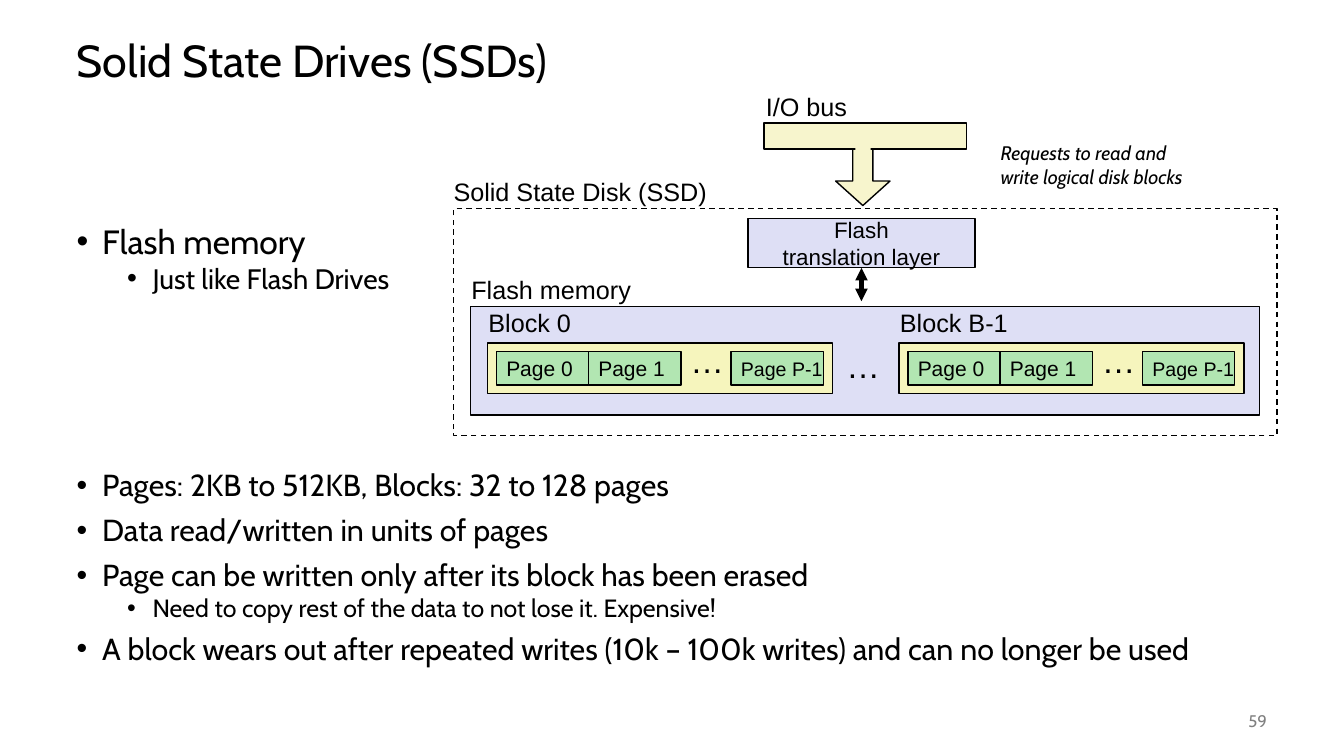
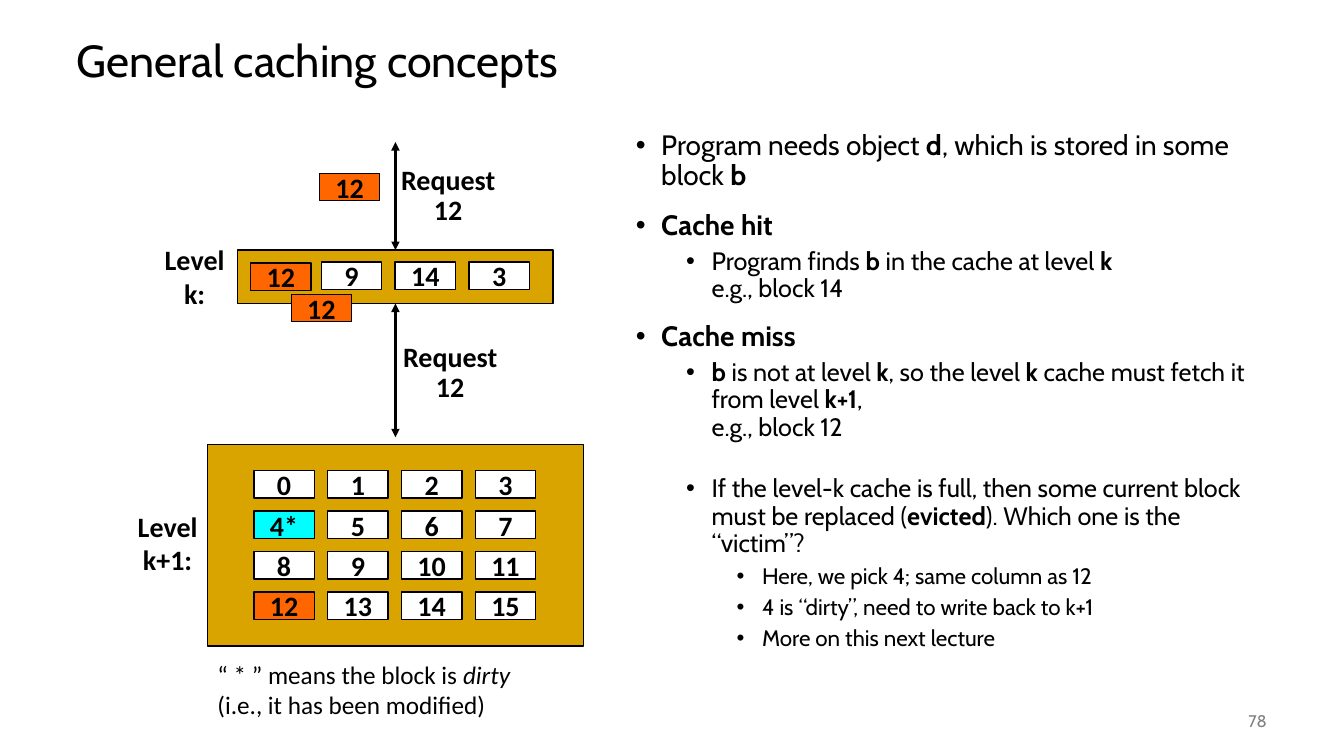
from pptx import Presentation
from pptx.dml.color import RGBColor
from pptx.enum.dml import MSO_LINE
from pptx.enum.shapes import MSO_CONNECTOR, MSO_SHAPE
from pptx.enum.text import MSO_ANCHOR, MSO_AUTO_SIZE, PP_ALIGN
from pptx.oxml.ns import qn
from pptx.util import Cm, Pt
from lxml.etree import SubElement

BLACK = RGBColor(0x00, 0x00, 0x00)
WHITE = RGBColor(0xFF, 0xFF, 0xFF)
GRAY = RGBColor(0x80, 0x80, 0x80)
LAVENDER = RGBColor(0xDE, 0xDF, 0xF5)
CREAM = RGBColor(0xF7, 0xF5, 0xCD)
YELLOW = RGBColor(0xF6, 0xF5, 0xBD)
GREEN = RGBColor(0xB2, 0xE6, 0xB2)
GOLD = RGBColor(0xD9, 0xA3, 0x00)
ORANGE = RGBColor(0xFF, 0x66, 0x00)
CYAN = RGBColor(0x00, 0xFF, 0xFF)

CABIN, ARIAL, CALIBRI = "Cabin", "Arial", "Calibri"
INDENT, LEVEL_STEP = Cm(0.64), Cm(1.27)

# Bullets: level, size, space before, text; |bars| enclose emphasis.
SSD = {
    "title": "Solid State Drives (SSDs)",
    "number": "59",
    "body_box": (1.68, 5.44, 31.37, 11.7),
    "spacing": 1.0,
    "bullets": [
        (0, 24, 0, "Flash memory"),
        (1, 20.1, 0, "Just like Flash Drives"),
        (0, 21.7, 122.5, "Pages: 2KB to 512KB, Blocks: 32 to 128 pages"),
        (0, 21.7, 6, "Data read/written in units of pages"),
        (0, 21.7, 6, "Page can be written only after its block has been erased"),
        (1, 17.8, 0, "Need to copy rest of the data to not lose it. Expensive!"),
        (0, 21.7, 5, "A block wears out after repeated writes (10k – 100k writes) "
                     "and can no longer be used"),
    ],
}
CACHING = {
    "title": "General caching concepts",
    "number": "78",
    "body_box": (15.77, 3.18, 16.38, 13.97),
    "spacing": 0.9,
    "bullets": [
        (0, 20, 0, "Program needs object |d|, which is stored in some block |b|"),
        (0, 20, 14, "|Cache hit|"),
        (1, 18, 5, "Program finds |b| in the cache at level |k|\ne.g., block 14"),
        (0, 20, 14, "|Cache miss|"),
        (1, 18, 5, "|b| is not at level |k|, so the level |k| cache must fetch it "
                   "from level |k+1|,\ne.g., block 12"),
        (1, 18, 24.7, "If the level-k cache is full, then some current block must be "
                      "replaced (|evicted|). Which one is the “victim”?"),
        (2, 16, 5, "Here, we pick 4; same column as 12"),
        (2, 16, 5, "4 is “dirty”, need to write back to k+1"),
        (2, 16, 5, "More on this next lecture"),
    ],
}

# Label, left, top, width
SSD_LABELS = [
    ("I/O bus", 19.05, 2.18, 2.59),
    ("Solid State Disk (SSD)", 11.18, 4.32, 6.96),
    ("Flash memory", 11.63, 6.78, 4.57),
]
FLASH_BLOCKS = [("Block 0", 12.29), ("Block B-1", 22.66)]
PAGES = [("Page 0", 0.22, 15), ("Page 1", 2.54, 15), ("Page P-1", 6.13, 14)]
ELLIPSIS = "…"

CACHED_BLOCKS = ["9", "14", "3"]
MOVING_BLOCK = "12"
MOVING_PLACES = [(8.05, 4.37), (6.32, 6.63), (7.34, 7.42)]
STORED_BLOCKS = [str(n) for n in range(16)]
STORED_BLOCKS[4] = "4*"
BLOCK_COLORS = {"4*": CYAN, MOVING_BLOCK: ORANGE}
BLOCK_W, BLOCK_H, COLUMN_STEP, ROW_STEP, COLUMNS = 1.52, 0.69, 1.86, 1.02, 4
REQUEST = ["Request", "12"]
REQUEST_PLACES = [(9.96, 4.06), (10.01, 8.51)]
LEVEL_LABELS = [
    (["Level", "k:"], (3.89, 5.99, 2.03, 1.96)),
    (["Level", "k+1:"], (3.12, 12.7, 2.21, 1.96)),
]
DIRTY_NOTE = "“ * ” means the block is |dirty| (i.e., it has been modified)"


def cm(*values):
    return [Cm(value) for value in values]


def add_runs(paragraph, text, emphasis):
    """Write text, setting the font attribute `emphasis` on parts between bars."""
    for index, part in enumerate(text.split("|")):
        for line_no, line in enumerate(part.split("\n")):
            if line_no:
                paragraph.add_line_break()
            if line:
                run = paragraph.add_run()
                run.text = line
                if index % 2:
                    setattr(run.font, emphasis, True)


def style(paragraph, name, size, color=BLACK, bold=None, italic=None):
    font = paragraph.font
    font.name, font.size = name, Pt(size)
    font.color.rgb = color
    font.bold, font.italic = bold, italic


def write(shape, lines, name, size, align=PP_ALIGN.LEFT, anchor=MSO_ANCHOR.TOP,
          wrap=False, spacing=None, emphasis="bold", **look):
    frame = shape.text_frame
    frame.word_wrap = wrap
    frame.auto_size = MSO_AUTO_SIZE.NONE
    frame.vertical_anchor = anchor
    for index, line in enumerate(lines):
        paragraph = frame.add_paragraph() if index else frame.paragraphs[0]
        paragraph.alignment = align
        paragraph.line_spacing = spacing
        add_runs(paragraph, line, emphasis)
        style(paragraph, name, size, **look)


def add_text(slide, box, lines, name, size, **options):
    text_box = slide.shapes.add_textbox(*cm(*box))
    write(text_box, lines, name, size, **options)
    return text_box


def add_box(slide, box, fill=None, outlined=True, kind=MSO_SHAPE.RECTANGLE):
    shape = slide.shapes.add_shape(kind, *cm(*box))
    shape.shadow.inherit = False
    if fill is None:
        shape.fill.background()
    else:
        shape.fill.solid()
        shape.fill.fore_color.rgb = fill
    if outlined:
        shape.line.color.rgb = BLACK
        shape.line.width = Pt(1)
    else:
        shape.line.fill.background()
    return shape


def add_double_arrow(slide, start, site, end_y, width):
    """Draw a vertical two-headed arrow from the middle of a side of `start`."""
    x = start.left + start.width // 2
    arrow = slide.shapes.add_connector(MSO_CONNECTOR.STRAIGHT, x, start.top, x, Cm(end_y))
    arrow.begin_connect(start, site)
    arrow.line.color.rgb = BLACK
    arrow.line.width = Pt(width)
    line = arrow.line._get_or_add_ln()
    for end in ("a:headEnd", "a:tailEnd"):
        SubElement(line, qn(end), type="triangle")
    SubElement(arrow._element.spPr, qn("a:effectLst"))


def place(shape, box):
    shape.left, shape.top, shape.width, shape.height = cm(*box)


def fill_bullets(body, bullets, spacing):
    frame = body.text_frame
    frame.auto_size = MSO_AUTO_SIZE.NONE
    for index, (level, size, before, text) in enumerate(bullets):
        paragraph = frame.add_paragraph() if index else frame.paragraphs[0]
        paragraph.level = level
        paragraph.line_spacing = spacing
        paragraph.space_before = Pt(before)
        paragraph.space_after = Pt(0)
        properties = paragraph._p.get_or_add_pPr()
        properties.set("marL", str(INDENT + level * LEVEL_STEP))
        properties.set("indent", str(-INDENT))
        SubElement(properties, qn("a:buChar"), char="•")
        add_runs(paragraph, text, "bold")
        style(paragraph, CABIN, size)


def add_content_slide(deck, content):
    slide = deck.slides.add_slide(deck.slide_layouts[1])
    title, body = slide.shapes.title, slide.placeholders[1]
    place(title, (1.68, 0.64, 30.48, 1.9))
    write(title, [content["title"]], CABIN, 32, anchor=MSO_ANCHOR.MIDDLE,
          wrap=True, spacing=0.9)
    place(body, content["body_box"])
    fill_bullets(body, content["bullets"], content["spacing"])
    add_text(slide, (29.64, 17.65, 2.54, 1.02), [content["number"]], CABIN, 12,
             align=PP_ALIGN.RIGHT, anchor=MSO_ANCHOR.MIDDLE, wrap=True, color=GRAY)
    return slide


def draw_flash_block(slide, name, left):
    add_box(slide, (left, 8.64, 8.69, 1.27), YELLOW)
    for page, offset, size in PAGES:
        page_box = add_box(slide, (left + offset, 8.86, 2.33, 0.84), GREEN)
        write(page_box, [page], ARIAL, size, anchor=MSO_ANCHOR.MIDDLE)
    add_text(slide, (left + 4.86, 8.43, 1.35, 1.27), [ELLIPSIS], ARIAL, 24)
    add_text(slide, (left - 0.23, 7.62, 3, 1.02), [name], ARIAL, 18)


def draw_ssd(slide):
    add_box(slide, (11.86, 7.72, 19.89, 2.74), LAVENDER)

    request_arrow = add_box(slide, (21.06, 3.28, 1.37, 1.9), CREAM,
                            kind=MSO_SHAPE.DOWN_ARROW)
    request_arrow.adjustments[0] = 0.37
    request_arrow.adjustments[1] = 0.45
    add_box(slide, (19.25, 3.1, 5.11, 0.66), CREAM)
    add_box(slide, (21.56, 3.53, 0.38, 0.43), CREAM, outlined=False)

    translation = add_box(slide, (18.85, 5.51, 5.72, 1.24), LAVENDER)
    write(translation, ["Flash", "translation layer"], ARIAL, 16,
          align=PP_ALIGN.CENTER, anchor=MSO_ANCHOR.MIDDLE)
    add_double_arrow(slide, translation, 2, 7.59, 3)

    for name, left in FLASH_BLOCKS:
        draw_flash_block(slide, name, left)
    add_text(slide, (21.08, 8.56, 1.35, 1.27), [ELLIPSIS], ARIAL, 24)

    disk = add_box(slide, (11.43, 5.26, 20.75, 5.72))
    disk.line.dash_style = MSO_LINE.DASH
    for label, left, top, width in SSD_LABELS:
        add_text(slide, (left, top, width, 1.02), [label], ARIAL, 18)
    add_text(slide, (24.97, 3.43, 5.92, 1.45),
             ["Requests to read and", "write logical disk blocks"], CABIN, 14,
             wrap=True, italic=True)


def draw_block(slide, label, left, top, color=WHITE):
    block = add_box(slide, (left, top, BLOCK_W, BLOCK_H), color)
    write(block, [label], CALIBRI, 20, align=PP_ALIGN.CENTER,
          anchor=MSO_ANCHOR.MIDDLE, bold=True)


def draw_caching(slide):
    cache = add_box(slide, (5.99, 6.3, 7.95, 1.35), GOLD)
    add_box(slide, (5.23, 11.2, 9.47, 5.08), GOLD)
    add_double_arrow(slide, cache, 0, 3.58, 2)
    add_double_arrow(slide, cache, 2, 11.02, 2)

    for column, label in enumerate(CACHED_BLOCKS):
        draw_block(slide, label, 8.1 + column * COLUMN_STEP, 6.6)
    for index, label in enumerate(STORED_BLOCKS):
        row, column = divmod(index, COLUMNS)
        draw_block(slide, label, 6.4 + column * COLUMN_STEP,
                   11.86 + row * ROW_STEP, BLOCK_COLORS.get(label, WHITE))
    for left, top in MOVING_PLACES:
        draw_block(slide, MOVING_BLOCK, left, top, ORANGE)

    for left, top in REQUEST_PLACES:
        request = add_text(slide, (left, top, 2.67, 1.8), REQUEST, CALIBRI, 20,
                           align=PP_ALIGN.CENTER, spacing=0.9, bold=True)
        frame = request.text_frame
        frame.margin_left = frame.margin_right = Cm(0.13)
        frame.margin_top = frame.margin_bottom = Cm(0.13)
    for lines, box in LEVEL_LABELS:
        add_text(slide, box, lines, CALIBRI, 20, align=PP_ALIGN.CENTER,
                 anchor=MSO_ANCHOR.MIDDLE, bold=True)
    add_text(slide, (5.23, 16.48, 8.56, 1.8), [DIRTY_NOTE], CALIBRI, 18,
             wrap=True, emphasis="italic")


def main():
    deck = Presentation()
    deck.slide_width, deck.slide_height = cm(33.87, 19.05)
    for content, draw in ((SSD, draw_ssd), (CACHING, draw_caching)):
        draw(add_content_slide(deck, content))
    deck.save("out.pptx")


if __name__ == "__main__":
    main()
